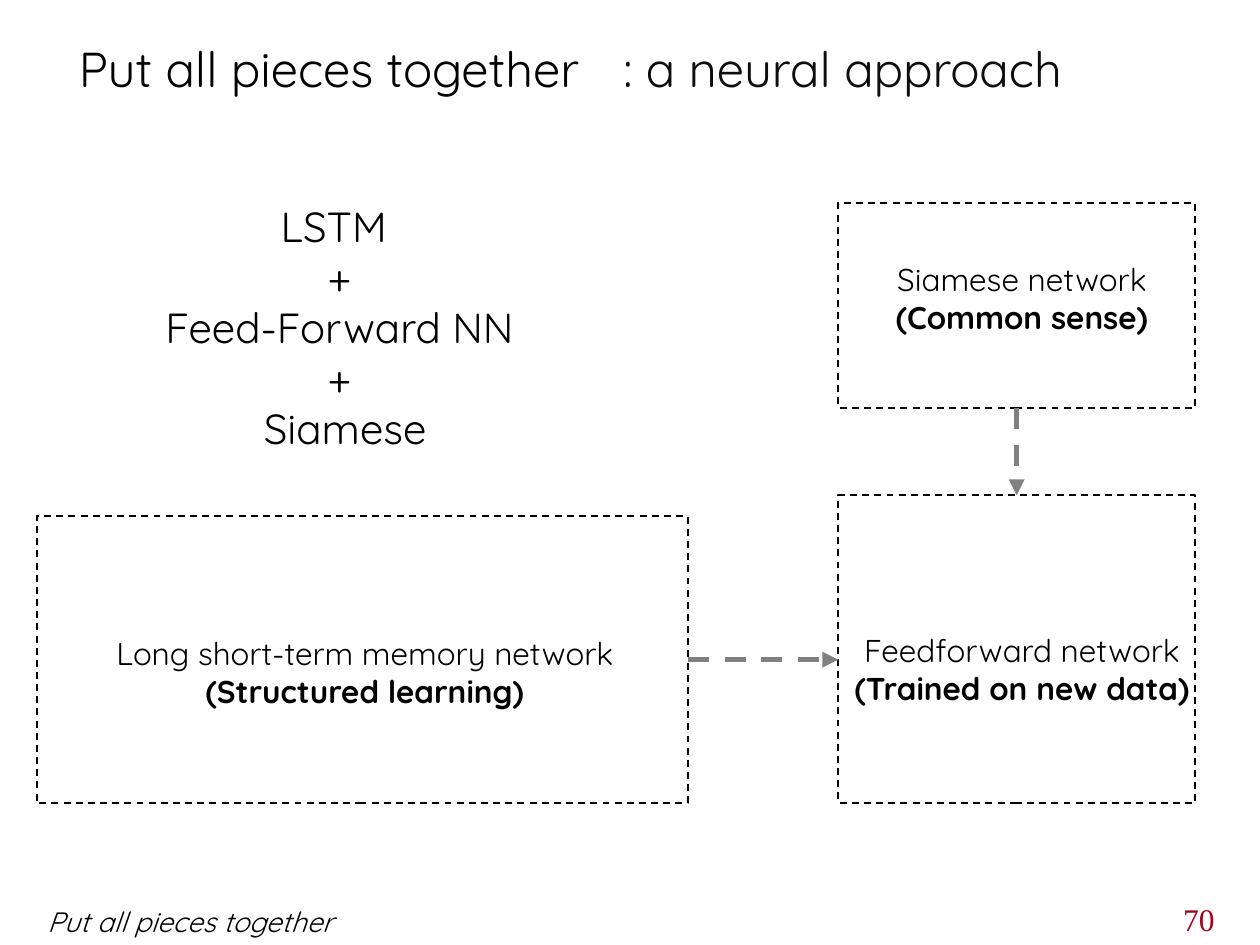
"""Build a slide that joins three neural networks into one approach."""
from dataclasses import dataclass

from lxml.etree import SubElement
from pptx import Presentation
from pptx.dml.color import RGBColor
from pptx.enum.dml import MSO_LINE
from pptx.enum.shapes import MSO_CONNECTOR, MSO_SHAPE
from pptx.enum.text import MSO_ANCHOR, MSO_AUTO_SIZE, PP_ALIGN
from pptx.oxml.ns import qn
from pptx.util import Pt


@dataclass(frozen=True)
class Theme:
    """Hold fonts, colours and type sizes."""
    face: str = "Quicksand"
    serif: str = "Times New Roman"
    ink: str = "000000"
    soft: str = "0D0D0D"
    grey: str = "808080"
    red: str = "A7001B"
    head: int = 28
    list: int = 24
    label: int = 18
    foot: int = 16


LOOK = Theme()
TITLE = ": a neural approach"
TOPIC = "Put all pieces together"
PARTS = ["LSTM ", "+", " Feed-Forward NN ", "+", " Siamese"]
PAGE = "70"
NETS = {
    "siamese": ((479, 116, 204, 117), (501, 145, 166, 51),
                ("Siamese network", "(Common sense)")),
    "lstm": ((21, 295, 372, 164), (56, 359, 305, 51),
             ("Long short-term memory network", "(Structured learning)")),
    "feed": ((479, 283, 204, 176), (479.5, 357, 209, 51),
             ("Feedforward network", "(Trained on new data)")),
}


def style(para, size, color=LOOK.ink, face=LOOK.face, bold=False, italic=False):
    """Format every run of a paragraph."""
    for run in para.runs:
        font = run.font
        font.name, font.size = face, Pt(size)
        font.bold, font.italic = bold, italic
        font.color.rgb = RGBColor.from_string(color)


def write(slide, area, lines, size, align=PP_ALIGN.LEFT, wrap=False, **kind):
    """Add a text box and return its paragraphs."""
    frame = slide.shapes.add_textbox(*map(Pt, area)).text_frame
    frame.word_wrap = wrap
    frame.text = "\n".join(lines)
    for para in frame.paragraphs:
        para.alignment = align
        style(para, size, **kind)
    return frame.paragraphs


def dash(line, color, width):
    """Give a line its dashes, colour and width."""
    line.color.rgb = RGBColor.from_string(color)
    line.width = Pt(width)
    line.dash_style = MSO_LINE.DASH


def frame_net(slide, area, place, lines):
    """Draw one dashed network box with its label."""
    box = slide.shapes.add_shape(MSO_SHAPE.RECTANGLE, *map(Pt, area))
    box.shadow.inherit = False
    box.fill.background()
    dash(box.line, LOOK.ink, 1)
    paras = write(slide, place, lines, LOOK.label, PP_ALIGN.CENTER)
    paras[1].runs[0].font.bold = True
    return box


def arrow(slide, start, end):
    """Draw a dashed arrow between two points."""
    link = slide.shapes.add_connector(MSO_CONNECTOR.STRAIGHT, *start, *end)
    dash(link.line, LOOK.grey, 3)
    SubElement(link.line._get_or_add_ln(), qn("a:tailEnd"), type="triangle")
    SubElement(link._element.spPr, qn("a:effectLst"))
    return link


def main():
    """Lay out the slide and save it."""
    deck = Presentation()
    deck.slide_width, deck.slide_height = Pt(720), Pt(540)
    slide = deck.slides.add_slide(deck.slide_layouts[5])

    title = slide.shapes.title
    title.left, title.top, title.width, title.height = map(Pt, (349, 18, 304, 42))
    frame = title.text_frame
    frame.text = TITLE
    frame.auto_size = MSO_AUTO_SIZE.NONE
    frame.vertical_anchor = MSO_ANCHOR.MIDDLE
    frame.paragraphs[0].alignment = PP_ALIGN.LEFT
    style(frame.paragraphs[0], LOOK.head, LOOK.soft)

    write(slide, (38, 18.5, 324, 41), [TOPIC], LOOK.head, wrap=True)
    write(slide, (77, 111, 234, 153), PARTS, LOOK.list, PP_ALIGN.CENTER)

    boxes = {name: frame_net(slide, *net) for name, net in NETS.items()}
    top, left, feed = boxes["siamese"], boxes["lstm"], boxes["feed"]
    mid = top.left + top.width // 2
    down = arrow(slide, (mid, top.top + top.height), (mid, feed.top))
    down.begin_connect(top, 2)
    down.end_connect(feed, 0)
    row = left.top + left.height // 2
    across = arrow(slide, (left.left + left.width, row), (feed.left, row))
    across.begin_connect(left, 3)

    write(slide, (20, 513.5, 252, 27), [TOPIC], LOOK.foot, wrap=True, italic=True)
    write(slide, (669, 511, 35, 29), [PAGE], LOOK.label,
          color=LOOK.red, face=LOOK.serif)
    deck.save("out.pptx")


if __name__ == "__main__":
    main()
